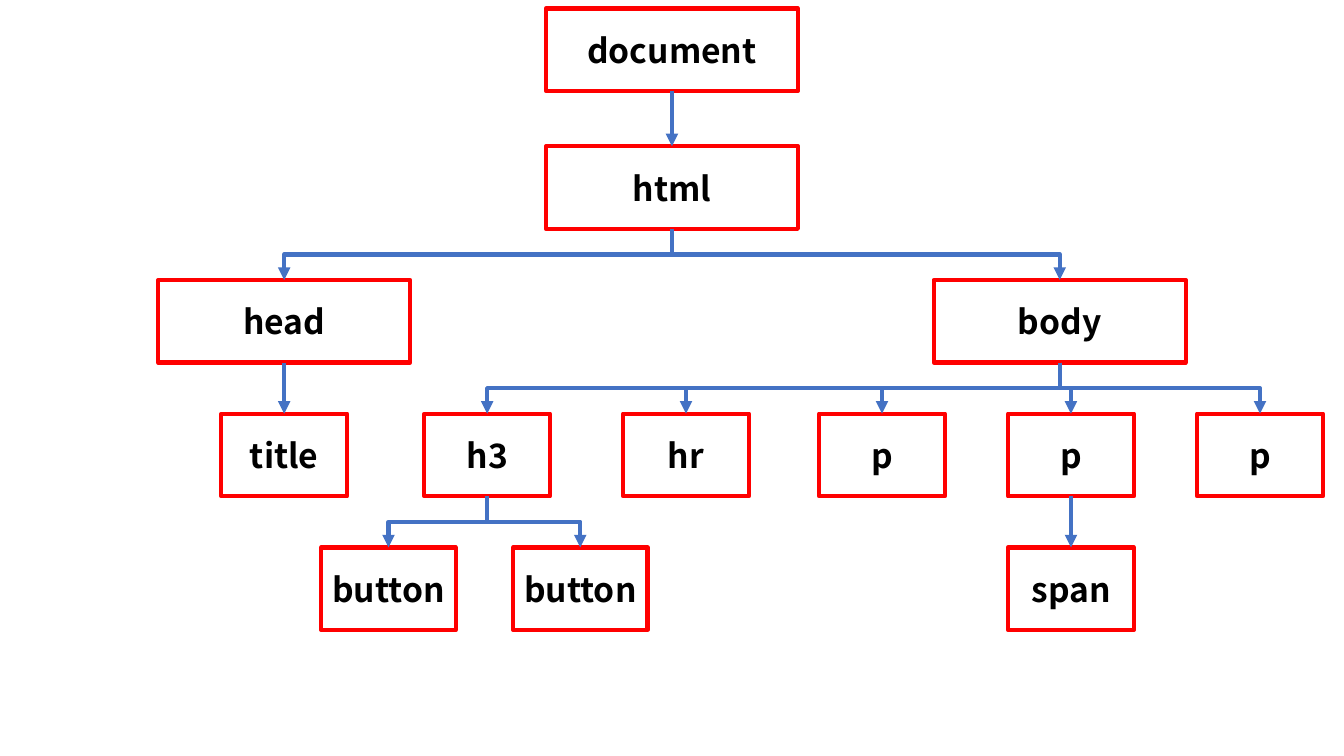
from dataclasses import dataclass

from lxml.etree import SubElement
from pptx import Presentation
from pptx.dml.color import RGBColor
from pptx.enum.shapes import MSO_CONNECTOR, MSO_SHAPE
from pptx.enum.text import MSO_ANCHOR, PP_ALIGN
from pptx.oxml.ns import qn
from pptx.shapes.autoshape import Shape
from pptx.util import Pt

FONT = "Noto Sans CJK KR"
WHITE, BLACK, RED, BLUE = "FFFFFF", "000000", "FF0000", "4472C4"
HIGH = 59
TOPS = [6] + [104.5 + 95.5 * step for step in range(4)]
WIDE, SLIM, TAG = 180, 90, 96


@dataclass(frozen=True)
class Node:
    name: str
    mid: float
    width: float = SLIM
    kids: tuple["Node", ...] = ()


# The DOM tree, each node placed by its centre
TREE = Node("document", 480, WIDE, (
    Node("html", 480, WIDE, (
        Node("head", 203, WIDE, (Node("title", 203),)),
        Node("body", 757, WIDE, (
            Node("h3", 348, kids=(
                Node("button", 277.5, TAG),
                Node("button", 414.5, TAG),
            )),
            Node("hr", 490),
            Node("p", 630),
            Node("p", 765, kids=(Node("span", 765),)),
            Node("p", 900),
        )),
    )),
))


def paint(code: str) -> RGBColor:
    return RGBColor.from_string(code)


def write(shape: Shape, text: str, *, size: float = 24, color: str = BLACK,
          bold: bool = True) -> None:
    frame = shape.text_frame
    frame.word_wrap = False
    frame.vertical_anchor = MSO_ANCHOR.MIDDLE
    para = frame.paragraphs[0]
    para.alignment = PP_ALIGN.CENTER
    run = para.add_run()
    run.text = text
    run.font.name = FONT
    run.font.size = Pt(size)
    run.font.bold = bold
    run.font.color.rgb = paint(color)


def draw_box(node: Node, top: float) -> Shape:
    box = slide.shapes.add_shape(
        MSO_SHAPE.RECTANGLE, Pt(node.mid - node.width / 2), Pt(top),
        Pt(node.width), Pt(HIGH))
    box.shadow.inherit = False
    box.fill.solid()
    box.fill.fore_color.rgb = paint(WHITE)
    box.line.color.rgb = paint(RED)
    box.line.width = Pt(3)
    write(box, node.name)
    return box


def draw_link(start: Shape, end: Shape, shift: float) -> None:
    kind = MSO_CONNECTOR.ELBOW if shift else MSO_CONNECTOR.STRAIGHT
    link = slide.shapes.add_connector(kind, 0, 0, 0, 0)
    link.begin_connect(start, 2)
    link.end_connect(end, 0)
    link.line.color.rgb = paint(BLUE)
    link.line.width = Pt(3)
    props = link.element.spPr
    SubElement(props.find(qn("a:ln")), qn("a:tailEnd"), type="triangle")
    SubElement(props, qn("a:effectLst"))
    if shift:
        # Turn the elbow so that it leaves and arrives vertically
        left, top, width, height = link.left, link.top, link.width, link.height
        link.left = left + (width - height) // 2
        link.top = top + (height - width) // 2
        link.width, link.height = height, width
        form = props.find(qn("a:xfrm"))
        form.attrib.pop("flipH", None)
        form.set("rot", "5400000" if shift < 0 else "16200000")
        if shift > 0:
            form.set("flipH", "1")


def draw_tree(node: Node, level: int = 0) -> Shape:
    box = draw_box(node, TOPS[level])
    for kid in node.kids:
        draw_link(box, draw_tree(kid, level + 1), kid.mid - node.mid)
    return box


# Slide
deck = Presentation()
deck.slide_width, deck.slide_height = Pt(960), Pt(540)
slide = deck.slides.add_slide(deck.slide_layouts[6])
draw_tree(TREE)
deck.save("out.pptx")
